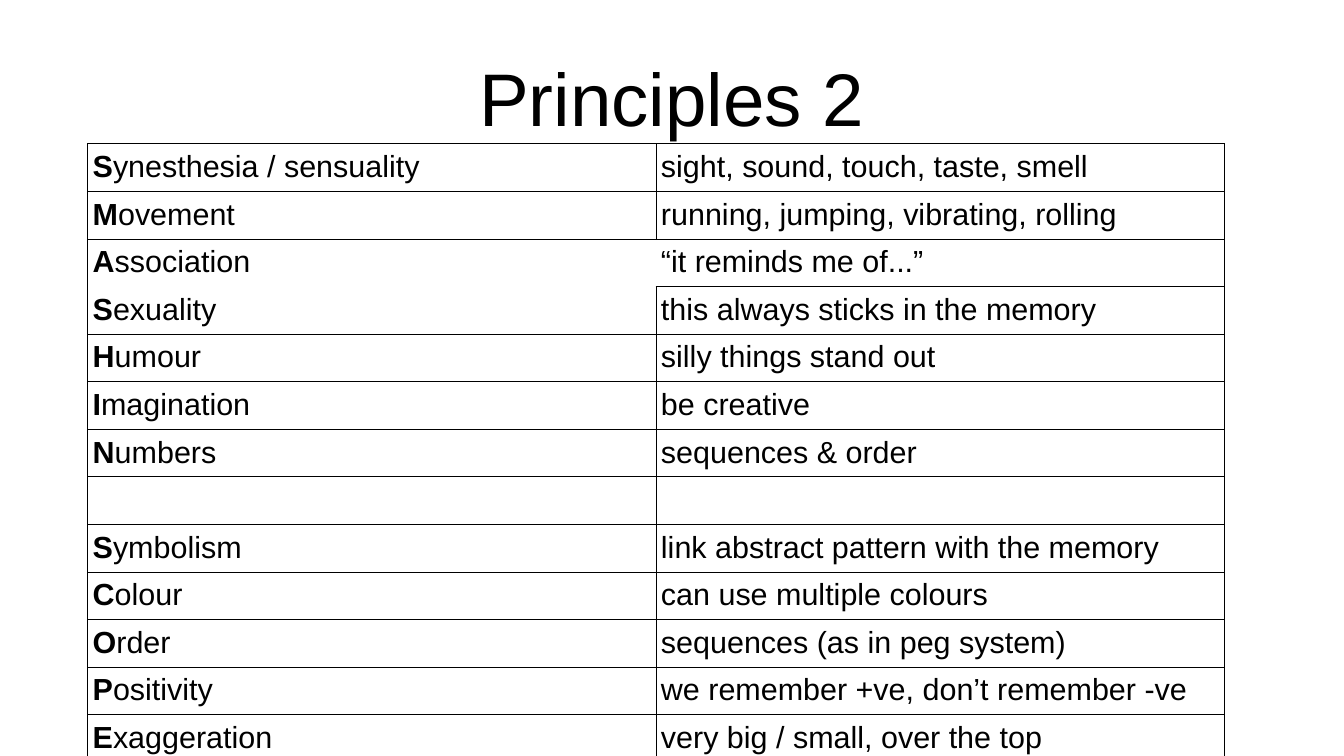
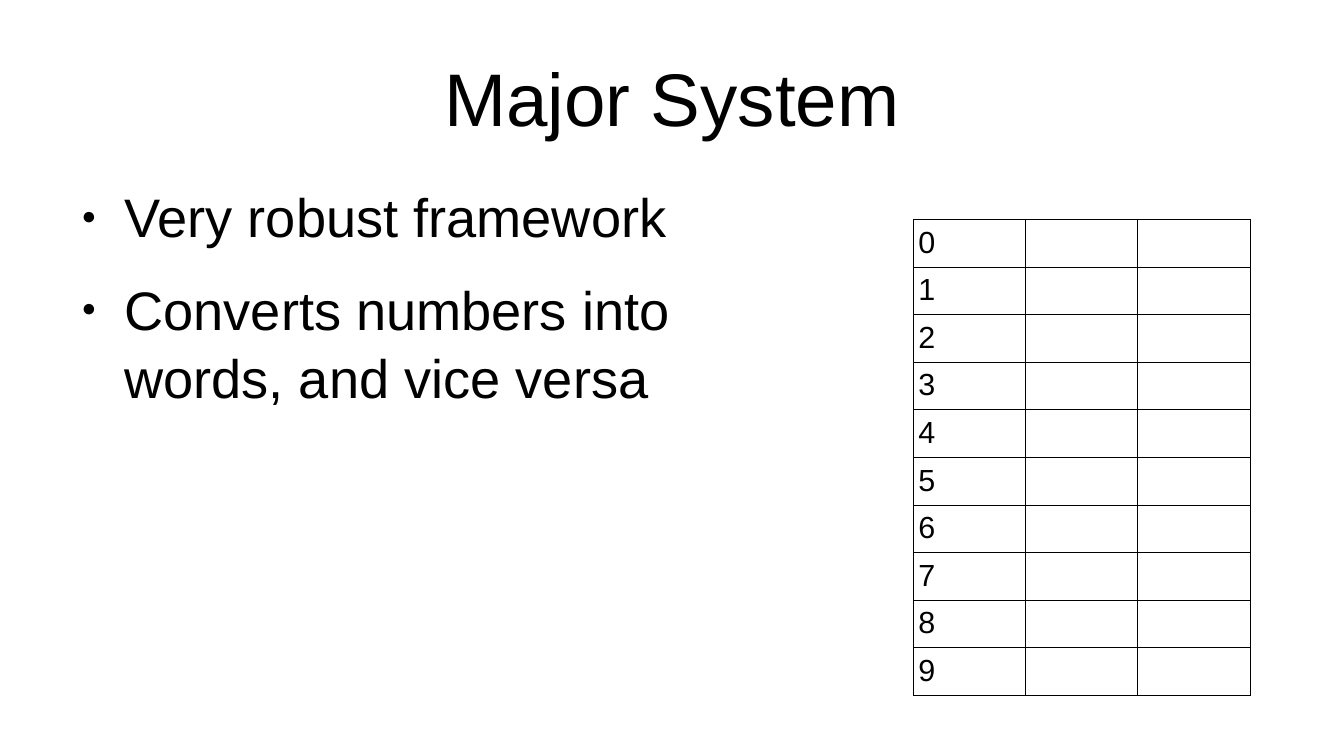
from dataclasses import dataclass

from lxml import etree
from pptx import Presentation
from pptx.dml.color import RGBColor
from pptx.enum import text
from pptx.oxml.ns import qn
from pptx.util import Inches, Pt


@dataclass(frozen=True)
class Theme:
    font: str = "Arial"
    ink: str = "000000"
    paper: str = "FFFFFF"
    title_size: float = 44
    body_size: float = 32
    cell_size: float = 18
    border_width: float = 0.57
    row_height: float = 0.38


@dataclass(frozen=True)
class Box:
    left: float
    top: float
    width: float
    height: float
    inset_top: float = 0


@dataclass(frozen=True)
class Grid:
    left: float
    top: float
    column_width: float
    rows: list
    bold_initials: bool = False
    open_edges: frozenset = frozenset()  # (row, column, edge) without a border


THEME = Theme()
TITLE = Box(0.55, 0.25, 9.92, 1.03, inset_top=0.06)
BODY = Box(0.55, 1.45, 6.14, 4.06, inset_top=0.03)

PRINCIPLES = Grid(
    0.72, 1.18, 4.66,
    [
        ("Synesthesia / sensuality", "sight, sound, touch, taste, smell"),
        ("Movement", "running, jumping, vibrating, rolling"),
        ("Association", "“it reminds me of...”"),
        ("Sexuality", "this always sticks in the memory"),
        ("Humour", "silly things stand out"),
        ("Imagination", "be creative"),
        ("Numbers", "sequences & order"),
        ("", ""),
        ("Symbolism", "link abstract pattern with the memory"),
        ("Colour", "can use multiple colours"),
        ("Order", "sequences (as in peg system)"),
        ("Positivity", "we remember +ve, don’t remember -ve"),
        ("Exaggeration", "very big / small, over the top"),
    ],
    bold_initials=True,
    open_edges=frozenset({(2, 0, "R"), (2, 0, "B"), (2, 1, "L"), (3, 0, "T")}),
)
DIGITS = Grid(7.49, 1.8, 0.92, [(str(digit), "", "") for digit in range(10)])
MAJOR_POINTS = ["Very robust framework", "Converts numbers into words, and vice versa"]


def apply_format(target, values: dict) -> None:
    for name, value in values.items():
        setattr(target, name, value)


def add_run(paragraph, words: str, size: float, bold: bool = False) -> None:
    run = paragraph.add_run()
    run.text = words
    apply_format(run.font, {"name": THEME.font, "size": Pt(size), "bold": bold})
    run.font.color.rgb = RGBColor.from_string(THEME.ink)


def add_text_frame(slide, box: Box, anchor):
    shape = slide.shapes.add_textbox(
        Inches(box.left), Inches(box.top), Inches(box.width), Inches(box.height))
    frame = shape.text_frame
    apply_format(frame, {
        "word_wrap": True, "vertical_anchor": anchor,
        "margin_left": 0, "margin_right": 0,
        "margin_top": Inches(box.inset_top), "margin_bottom": 0,
    })
    return frame


def add_titled_slide(deck, title: str):
    slide = deck.slides.add_slide(deck.slide_layouts[6])
    background = slide.background.fill
    background.solid()
    background.fore_color.rgb = RGBColor.from_string(THEME.paper)
    heading = add_text_frame(slide, TITLE, text.MSO_ANCHOR.MIDDLE).paragraphs[0]
    heading.alignment = text.PP_ALIGN.CENTER
    add_run(heading, title, THEME.title_size)
    return slide


def set_bullet(paragraph) -> None:
    properties = paragraph._p.get_or_add_pPr()
    properties.set("marL", str(Inches(0.47)))
    properties.set("indent", str(Inches(-0.35)))
    color = etree.SubElement(properties, qn("a:buClr"))
    etree.SubElement(color, qn("a:srgbClr"), val=THEME.ink)
    etree.SubElement(properties, qn("a:buSzPct"), val="45000")
    etree.SubElement(properties, qn("a:buFont"), typeface=THEME.font)
    etree.SubElement(properties, qn("a:buChar"), char="●")


def add_bullets(slide, points: list) -> None:
    frame = add_text_frame(slide, BODY, text.MSO_ANCHOR.TOP)
    for index, point in enumerate(points):
        paragraph = frame.add_paragraph() if index else frame.paragraphs[0]
        apply_format(paragraph, {
            "alignment": text.PP_ALIGN.LEFT, "line_spacing": 1.05,
            "space_before": Pt(14.2 if index else 0),
        })
        set_bullet(paragraph)
        add_run(paragraph, point, THEME.body_size)


def set_borders(cell, open_edges: set) -> None:
    properties = cell._tc.get_or_add_tcPr()
    for position, edge in enumerate("LRTB"):
        line = etree.Element(qn(f"a:ln{edge}"), w=str(Pt(THEME.border_width)))
        if edge in open_edges:
            etree.SubElement(line, qn("a:noFill"))
        else:
            fill = etree.SubElement(line, qn("a:solidFill"))
            etree.SubElement(fill, qn("a:srgbClr"), val=THEME.ink)
        properties.insert(position, line)


def fill_cell(cell, words: str, bold_initial: bool) -> None:
    apply_format(cell, {
        "margin_left": Inches(0.04), "margin_right": Inches(0.04),
        "margin_top": Inches(0.05), "margin_bottom": Inches(0.04),
    })
    cell.fill.background()
    paragraph = cell.text_frame.paragraphs[0]
    if not words:
        # Gives an empty cell the line height of the filled ones.
        ending = etree.SubElement(
            paragraph._p, qn("a:endParaRPr"), sz=str(int(THEME.cell_size * 100)))
        etree.SubElement(ending, qn("a:latin"), typeface=THEME.font)
    elif bold_initial:
        add_run(paragraph, words[0], THEME.cell_size, bold=True)
        add_run(paragraph, words[1:], THEME.cell_size)
    else:
        add_run(paragraph, words, THEME.cell_size)


def add_grid(slide, grid: Grid) -> None:
    row_count, column_count = len(grid.rows), len(grid.rows[0])
    table = slide.shapes.add_table(
        row_count, column_count, Inches(grid.left), Inches(grid.top),
        Inches(grid.column_width * column_count),
        Inches(THEME.row_height * row_count)).table
    apply_format(table, {"first_row": False, "horz_banding": False})
    for column in table.columns:
        column.width = Inches(grid.column_width)
    for row_index, entries in enumerate(grid.rows):
        table.rows[row_index].height = Inches(THEME.row_height)
        for column_index, words in enumerate(entries):
            cell = table.cell(row_index, column_index)
            fill_cell(cell, words, grid.bold_initials and column_index == 0)
            set_borders(cell, {edge for row, column, edge in grid.open_edges
                               if (row, column) == (row_index, column_index)})


def main() -> None:
    deck = Presentation()
    apply_format(deck, {"slide_width": Inches(11.02), "slide_height": Inches(6.2)})

    add_grid(add_titled_slide(deck, "Principles 2"), PRINCIPLES)

    major_system = add_titled_slide(deck, "Major System")
    add_bullets(major_system, MAJOR_POINTS)
    add_grid(major_system, DIGITS)

    deck.save("out.pptx")


if __name__ == "__main__":
    main()
